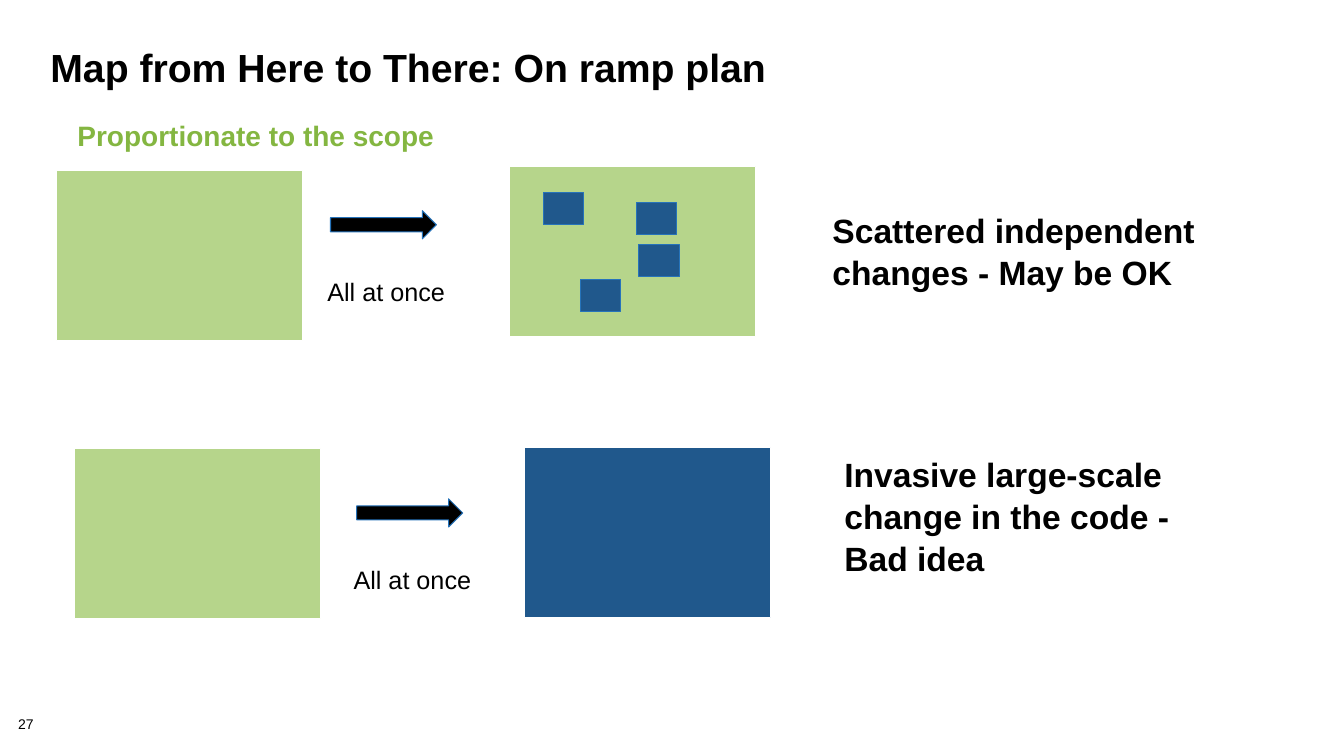
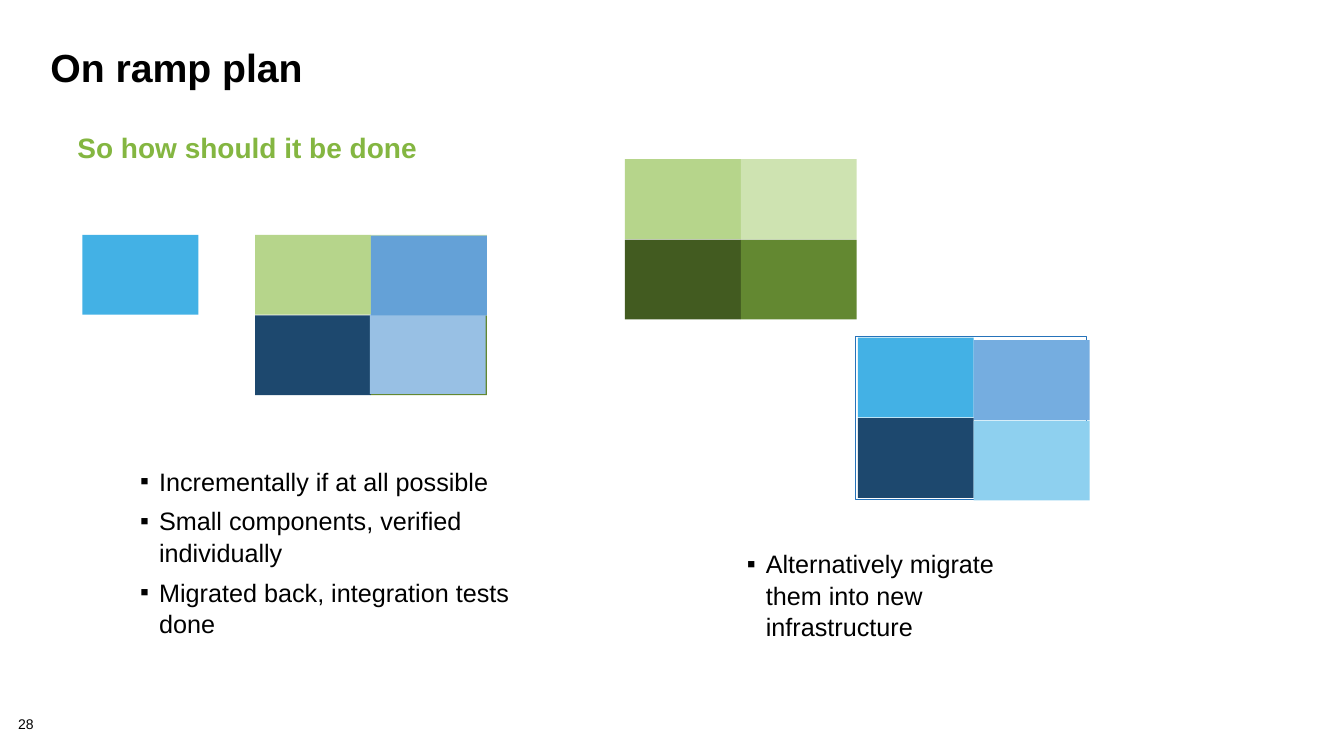
from dataclasses import dataclass
from typing import Optional, Sequence

from lxml.etree import SubElement
from pptx import Presentation
from pptx.dml.color import RGBColor
from pptx.enum.shapes import MSO_SHAPE
from pptx.enum.text import MSO_ANCHOR, MSO_AUTO_SIZE, PP_ALIGN
from pptx.oxml.ns import qn
from pptx.util import Cm, Pt

FONT = "Arial"
BLACK = RGBColor(0x00, 0x00, 0x00)
WHITE = RGBColor(0xFF, 0xFF, 0xFF)
HEADING_GREEN = RGBColor(0x84, 0xB6, 0x41)
LIGHT_GREEN = RGBColor(0xB6, 0xD5, 0x8B)
PALE_GREEN = RGBColor(0xCE, 0xE3, 0xB1)
MID_GREEN = RGBColor(0x63, 0x88, 0x31)
DARK_GREEN = RGBColor(0x42, 0x5B, 0x20)
CODE_BLUE = RGBColor(0x20, 0x58, 0x8C)
EDGE_BLUE = RGBColor(0x26, 0x73, 0xBA)
NAVY = RGBColor(0x1D, 0x48, 0x6E)
SKY = RGBColor(0x43, 0xB1, 0xE5)
PALE_SKY = RGBColor(0x8E, 0xD0, 0xEF)
STEEL = RGBColor(0x64, 0xA1, 0xD7)
PALE_STEEL = RGBColor(0x98, 0xC0, 0xE4)
SOFT_BLUE = RGBColor(0x75, 0xAD, 0xE0)

COMPARISON_LAYOUT = 4
SUBHEAD, LEFT_LIST, RIGHT_LIST = 1, 2, 4
CODEBASE = (6.2, 4.29)
PATCH = (1.02, 0.81)
ARROW = (2.67, 0.71)
TILE = (2.92, 2.01)
TILE_PITCH = (2.92, 2.03)
BODY_SPACING = 1.04


@dataclass(frozen=True)
class Change:
    """One before-and-after row with its verdict."""
    before: tuple[float, float]
    arrow: tuple[float, float]
    after: tuple[float, float]
    after_color: RGBColor
    verdict: str
    verdict_box: tuple[float, float, float, float]
    patches: tuple[tuple[float, float], ...] = ()


@dataclass(frozen=True)
class Cluster:
    """Four components in a two-by-two grid."""
    left: float
    top: float
    colors: tuple[RGBColor, ...]
    right_drop: float = 0


CHANGES = (
    Change((1.42, 4.29), (8.33, 5.31), (12.85, 4.19), LIGHT_GREEN,
           "Scattered independent changes - May be OK", (20.73, 5.11, 10.31, 2.31),
           ((13.69, 4.85), (14.63, 7.04), (16.1, 6.17), (16.03, 5.11))),
    Change((1.88, 11.3), (8.99, 12.57), (13.23, 11.28), CODE_BLUE,
           "Invasive large-scale change in the code - Bad idea",
           (21.03, 11.28, 9.53, 3.33)),
)
MIXED = Cluster(6.43, 5.92, (LIGHT_GREEN, PALE_GREEN, NAVY, MID_GREEN))
OLD_SYSTEM = Cluster(15.75, 4.01, (LIGHT_GREEN, PALE_GREEN, DARK_GREEN, MID_GREEN))
NEW_SYSTEM = Cluster(21.62, 8.51, (SKY, SOFT_BLUE, NAVY, PALE_SKY), right_drop=0.06)


def place(target, left: float, top: float, width: float, height: float) -> None:
    """Move and size a shape, in centimetres."""
    target.left, target.top = Cm(left), Cm(top)
    target.width, target.height = Cm(width), Cm(height)


def write(target, *lines: str, size: float, bold: bool = False, color: RGBColor = BLACK,
          spacing: float = BODY_SPACING, bullet: str = "",
          insets: Sequence[float] = (0.25, 0.13, 0.25, 0.13)) -> None:
    """Fill a shape with formatted paragraphs."""
    frame = target.text_frame
    frame.word_wrap = True
    frame.auto_size = MSO_AUTO_SIZE.NONE
    frame.vertical_anchor = MSO_ANCHOR.TOP
    (frame.margin_left, frame.margin_top,
     frame.margin_right, frame.margin_bottom) = map(Cm, insets)
    for index, line in enumerate(lines):
        paragraph = frame.add_paragraph() if index else frame.paragraphs[0]
        if bullet:
            properties = paragraph._p.get_or_add_pPr()
            properties.set("marL", str(Cm(0.48)))
            properties.set("indent", str(-Cm(0.48)))
            SubElement(properties, qn("a:buChar"), char=bullet)
        paragraph.alignment = PP_ALIGN.LEFT
        paragraph.line_spacing = spacing
        paragraph.space_before = Pt(6 if index else 0)
        run = paragraph.add_run()
        run.text = line
        run.font.name, run.font.size = FONT, Pt(size)
        run.font.bold, run.font.color.rgb = bold, color


def add_text(slide, box: Sequence[float], text: str, **style) -> None:
    """Add a text box."""
    write(slide.shapes.add_textbox(*map(Cm, box)), text, **style)


def add_block(slide, origin: Sequence[float], size: Sequence[float], fill: RGBColor,
              line: Optional[RGBColor] = None, kind: MSO_SHAPE = MSO_SHAPE.RECTANGLE) -> None:
    """Add a filled shape, outlined if a line colour is given."""
    block = slide.shapes.add_shape(kind, *map(Cm, (*origin, *size)))
    block.shadow.inherit = False
    block.fill.solid()
    block.fill.fore_color.rgb = fill
    if line is None:
        block.line.fill.background()
    else:
        block.line.color.rgb = line
        block.line.width = Pt(0.75)


def add_change(slide, change: Change) -> None:
    """Draw a before-and-after row."""
    add_block(slide, change.before, CODEBASE, LIGHT_GREEN, WHITE)
    add_block(slide, change.after, CODEBASE, change.after_color, WHITE)
    for patch in change.patches:
        add_block(slide, patch, PATCH, CODE_BLUE, EDGE_BLUE)
    add_block(slide, change.arrow, ARROW, BLACK, EDGE_BLUE, MSO_SHAPE.RIGHT_ARROW)
    left, top = change.arrow
    add_text(slide, (left - 0.33, top + 1.5, 4.29, 1.09), "All at once", size=18)
    add_text(slide, change.verdict_box, change.verdict, size=24, bold=True)


def add_cluster(slide, cluster: Cluster) -> None:
    """Draw the four components of a cluster."""
    for index, color in enumerate(cluster.colors):
        row, column = divmod(index, 2)
        origin = (cluster.left + column * TILE_PITCH[0],
                  cluster.top + row * TILE_PITCH[1] + column * cluster.right_drop)
        add_block(slide, origin, TILE, color)


def add_list(slide, position: int, box: Sequence[float], *items: str) -> None:
    """Fill a list placeholder with bullets."""
    body = slide.placeholders[position]
    place(body, *box)
    write(body, *items, size=18, bullet="▪", insets=(0, 0, 0, 0.13))


def start_slide(deck, title: str, subhead: str, subhead_top: float, number: int):
    """Add a slide with its title, subheading and page number."""
    slide = deck.slides.add_slide(deck.slide_layouts[COMPARISON_LAYOUT])
    place(slide.shapes.title, 1.02, 1.14, 31.6, 2.36)
    write(slide.shapes.title, title, size=28, bold=True, spacing=0.85)
    heading = slide.placeholders[SUBHEAD]
    place(heading, 1.7, subhead_top, 31.01, 1.4)
    write(heading, subhead, size=20, bold=True, color=HEADING_GREEN, spacing=0.9,
          insets=(0.25, 0.13, 0.25, 0))
    add_text(slide, (0.46, 18.08, 1.42, 0.41), str(number), size=10, spacing=0.9,
             insets=(0, 0, 0, 0))
    return slide


def remove_empty_placeholders(slide) -> None:
    """Remove placeholders that hold no text."""
    for holder in list(slide.placeholders):
        if not holder.text_frame.text:
            holder._element.getparent().remove(holder._element)


def build_scope_slide(deck) -> None:
    """Build the slide on the scope of changes."""
    slide = start_slide(deck, "Map from Here to There: On ramp plan",
                        "Proportionate to the scope", 2.95, 27)
    for change in CHANGES:
        add_change(slide, change)
    remove_empty_placeholders(slide)


def build_method_slide(deck) -> None:
    """Build the slide on incremental migration."""
    slide = start_slide(deck, "On ramp plan", "So how should it be done", 3.25, 28)
    add_list(slide, LEFT_LIST, (3.53, 11.71, 9.5, 4.09),
             "Incrementally if at all possible",
             "Small components, verified individually",
             "Migrated back, integration tests done")
    add_list(slide, RIGHT_LIST, (18.82, 13.79, 6.99, 4.5),
             "Alternatively migrate them into new infrastructure")
    add_block(slide, (2.08, 5.92), TILE, SKY)
    add_cluster(slide, MIXED)
    add_block(slide, (9.32, 7.92), TILE, PALE_STEEL)
    add_block(slide, (9.35, 5.94), TILE, STEEL)
    add_cluster(slide, OLD_SYSTEM)
    add_block(slide, (21.56, 8.48), (5.82, 4.11), WHITE, EDGE_BLUE)
    add_cluster(slide, NEW_SYSTEM)
    remove_empty_placeholders(slide)


def main() -> None:
    """Build and save the deck."""
    deck = Presentation()
    deck.slide_width, deck.slide_height = Cm(33.87), Cm(19.05)
    build_scope_slide(deck)
    build_method_slide(deck)
    deck.save("out.pptx")


if __name__ == "__main__":
    main()
